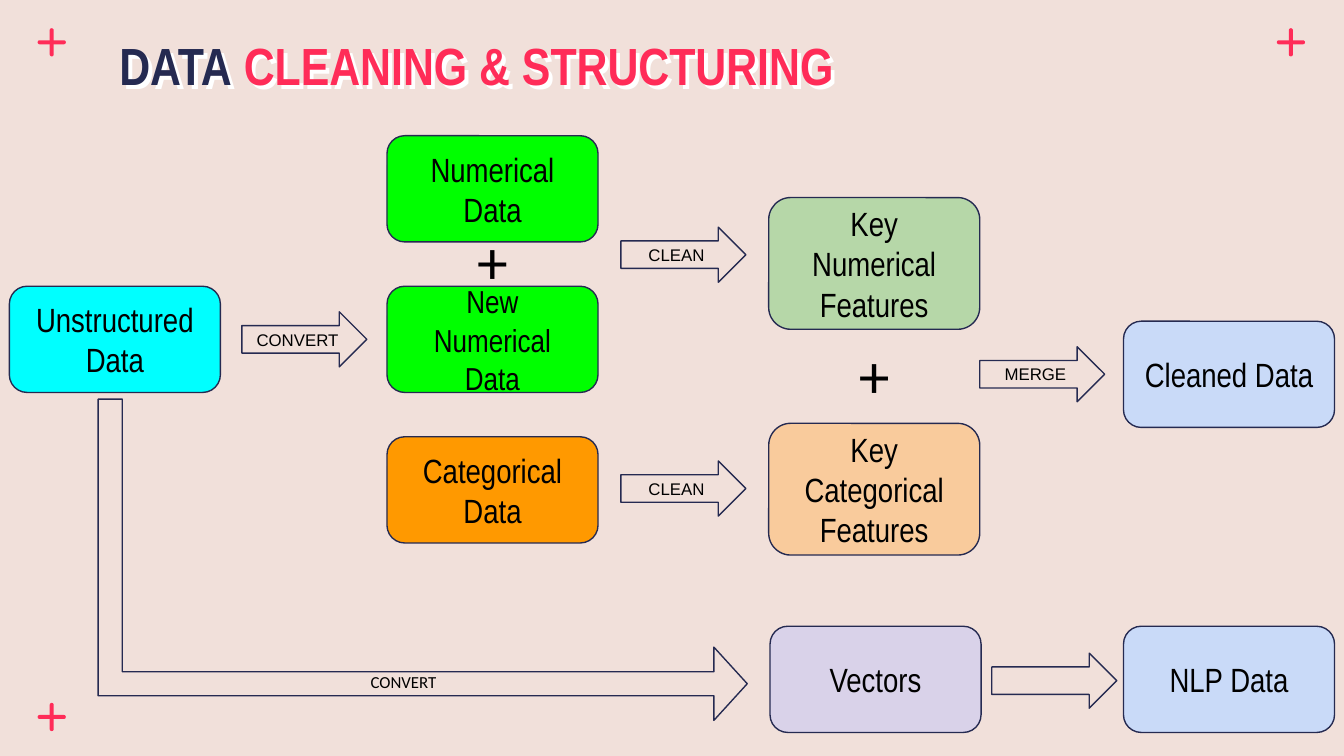
from lxml import etree
from pptx import Presentation
from pptx.dml.color import RGBColor
from pptx.enum.shapes import MSO_SHAPE
from pptx.enum.text import MSO_ANCHOR, PP_ALIGN
from pptx.oxml.ns import qn
from pptx.util import Inches, Pt

ROUNDED = MSO_SHAPE.ROUNDED_RECTANGLE
RIGHT_ARROW = MSO_SHAPE.RIGHT_ARROW
BENT_ARROW = MSO_SHAPE.BENT_UP_ARROW
MIDDLE = MSO_ANCHOR.MIDDLE
TOP = MSO_ANCHOR.TOP
CENTER = PP_ALIGN.CENTER
LEFT = PP_ALIGN.LEFT

COLORS = {
    "background": "F1E0DA",
    "navy": "252A51",
    "pink": "FF2C58",
    "black": "000000",
    "white": "FFFFFF",
    "green": "00FF00",
    "cyan": "00FFFF",
    "orange": "FF9900",
    "pale green": "B6D7A8",
    "pale orange": "F9CB9C",
    "pale blue": "C9DAF8",
    "lavender": "D9D2E9",
}
SLIDE_WIDTH = 10
SLIDE_HEIGHT = SLIDE_WIDTH * 9 / 16
BOX_WIDTH, BOX_HEIGHT, TALL_BOX_HEIGHT = 1.57, 0.79, 0.98
ARROW_WIDTH, ARROW_HEIGHT = 0.93, 0.41
CROSS_LENGTH, CROSS_THICKNESS = 0.21, 0.03
SOURCE_X, DATA_X, FEATURE_X, RESULT_X = 0.07, 2.88, 5.72, 8.36


def rgb(name):
    return RGBColor.from_string(COLORS[name])


def write_text(shape, *runs, size=18, font="Arial Narrow", color="black",
               bold=False, align=CENTER, anchor=MIDDLE):
    frame = shape.text_frame
    frame.word_wrap = True
    frame.vertical_anchor = anchor
    frame.margin_left = frame.margin_right = Inches(0.1)
    frame.margin_top = frame.margin_bottom = Inches(0.1)
    paragraph = frame.paragraphs[0]
    paragraph.alignment = align
    for text, run_color in runs:
        run = paragraph.add_run()
        run.text = text
        run.font.size = Pt(size)
        run.font.name = font
        run.font.bold = bold
        run.font.color.rgb = rgb(run_color or color)


class FlowSlide:
    line_width = Pt(0.75)

    def __init__(self, presentation):
        self.slide = presentation.slides.add_slide(presentation.slide_layouts[6])
        fill = self.slide.background.fill
        fill.solid()
        fill.fore_color.rgb = rgb("background")

    def shape(self, kind, left, top, width, height, color, outlined=True):
        shape = self.slide.shapes.add_shape(
            kind, Inches(left), Inches(top), Inches(width), Inches(height))
        shape.shadow.inherit = False
        shape.fill.solid()
        shape.fill.fore_color.rgb = rgb(color)
        if outlined:
            shape.line.color.rgb = rgb("navy")
            shape.line.width = self.line_width
        else:
            shape.line.fill.background()
        return shape

    def box(self, text, left, top, color, height=BOX_HEIGHT, size=18):
        shape = self.shape(ROUNDED, left, top, BOX_WIDTH, height, color)
        write_text(shape, (text, None), size=size)

    def arrow(self, text, left, top):
        shape = self.shape(RIGHT_ARROW, left, top, ARROW_WIDTH, ARROW_HEIGHT, "background")
        if text:
            write_text(shape, (text, None), size=9, font="Arial")

    def bent_arrow(self, left, top, width, height, adjustments):
        shape = self.shape(BENT_ARROW, left, top, width, height, "background")
        shape.rotation = 90
        for index, value in enumerate(adjustments):
            shape.adjustments[index] = value

    def cross(self, left, top):
        offset = (CROSS_LENGTH - CROSS_THICKNESS) / 2
        for bar_left, bar_top, width, height in (
            (left, top + offset, CROSS_LENGTH, CROSS_THICKNESS),
            (left + offset, top, CROSS_THICKNESS, CROSS_LENGTH),
        ):
            bar = self.shape(ROUNDED, bar_left, bar_top, width, height, "pink", outlined=False)
            bar.adjustments[0] = 0.5

    def label(self, left, top, width, height, *runs, **style):
        shape = self.slide.shapes.add_textbox(
            Inches(left), Inches(top), Inches(width), Inches(height))
        write_text(shape, *runs, **style)
        return shape

    def title(self, *runs):
        shape = self.label(0.79, 0.17, 8.43, 0.62, *runs, size=28, bold=True, align=LEFT)
        effects = etree.SubElement(shape.element.spPr, qn("a:effectLst"))
        shadow = etree.SubElement(effects, qn("a:outerShdw"), dist="38100",
                                  dir="2700000", algn="bl", rotWithShape="0")
        etree.SubElement(shadow, qn("a:srgbClr"), val=COLORS["white"])


def main():
    presentation = Presentation()
    presentation.slide_width = Inches(SLIDE_WIDTH)
    presentation.slide_height = Inches(SLIDE_HEIGHT)
    flow = FlowSlide(presentation)

    for left, top in ((0.28, 0.21), (9.5, 0.21), (0.28, 5.23)):
        flow.cross(left, top)
    flow.title(("DATA", "navy"), (" CLEANING & STRUCTURING", "pink"))

    flow.box("Numerical Data", DATA_X, 1.01, "green")
    flow.box("Unstructured Data", SOURCE_X, 2.13, "cyan")
    flow.box("Categorical Data", DATA_X, 3.25, "orange")
    flow.box("New Numerical Data", DATA_X, 2.13, "green", size=17)
    flow.box("Key Numerical Features", FEATURE_X, 1.47, "pale green", TALL_BOX_HEIGHT)
    flow.box("Key Categorical Features", FEATURE_X, 3.15, "pale orange", TALL_BOX_HEIGHT)
    flow.box("Cleaned Data", RESULT_X, 2.39, "pale blue")
    flow.box("Vectors", 5.73, 4.66, "lavender")
    flow.box("NLP Data", RESULT_X, 4.66, "pale blue")

    for text, left, top in (
        ("CLEAN", 4.62, 1.69),
        ("CLEAN", 4.62, 3.43),
        ("CONVERT", 1.8, 2.32),
        ("MERGE", 7.29, 2.58),
        (None, 7.38, 4.86),
    ):
        flow.arrow(text, left, top)
    flow.bent_arrow(1.95, 1.75, 2.39, 4.83, (0.075, 0.114, 0.104))

    for left, top, height in ((3.43, 1.52, 0.82), (6.27, 2.42, 0.73)):
        flow.label(left, top, 0.47, height, ("+", None), size=33, font="Calibri")
    flow.label(2.66, 4.92, 0.8, 0.35, ("CONVERT", None),
               size=9, font="Calibri", align=LEFT, anchor=TOP)

    presentation.save("out.pptx")


if __name__ == "__main__":
    main()
